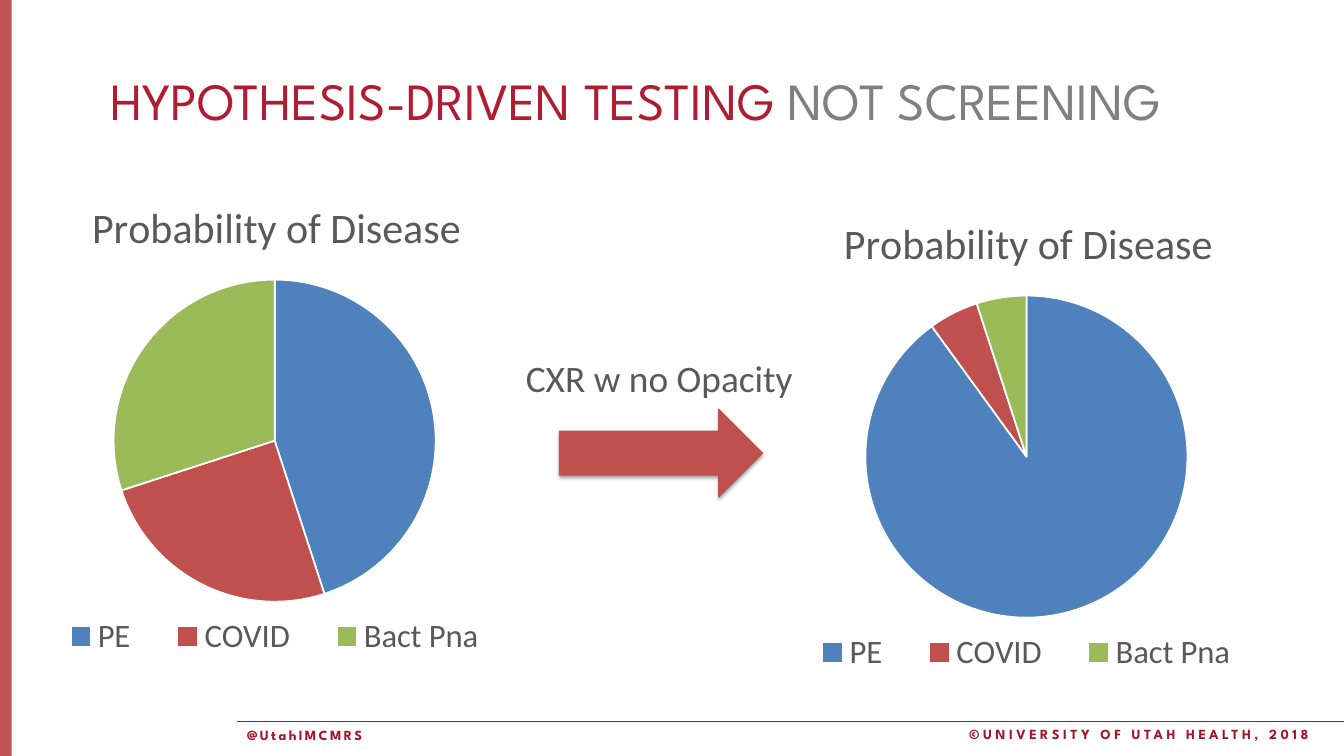
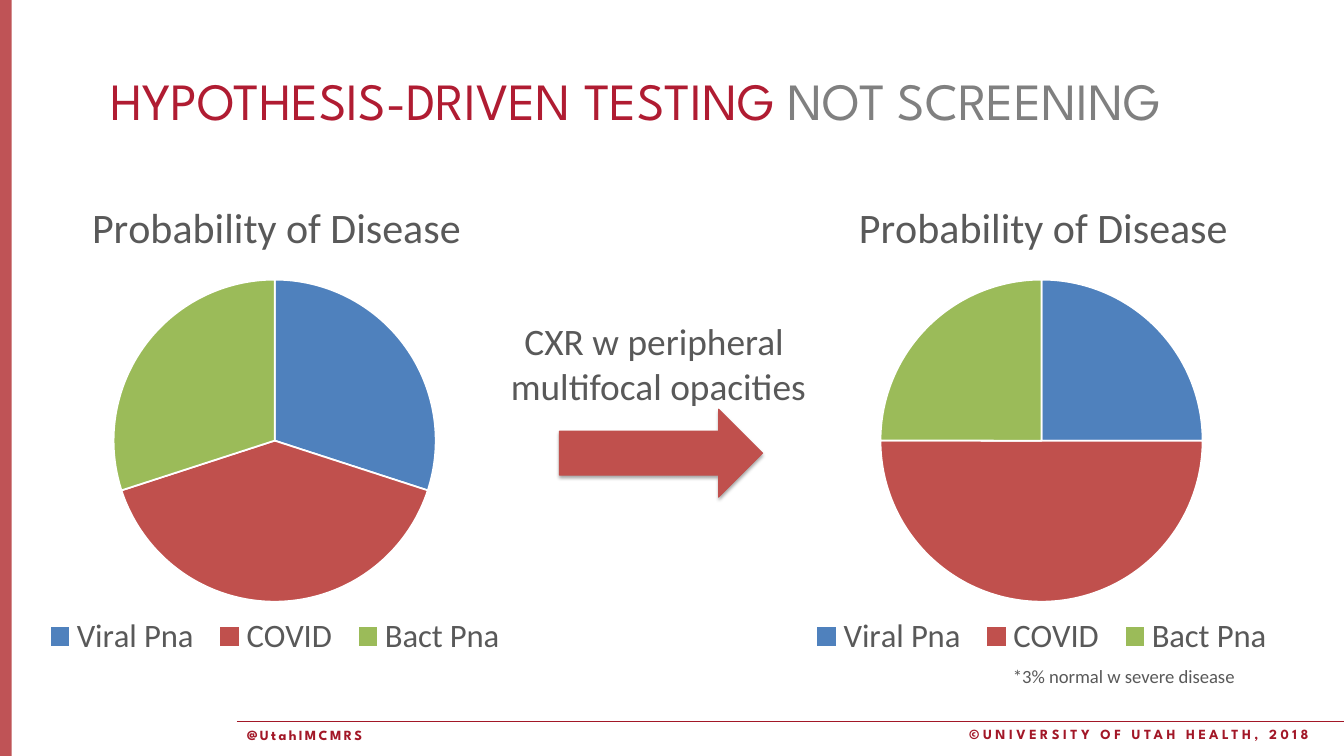
"""Build two slides on how a chest film shifts the probability of disease."""
from dataclasses import dataclass
from typing import Optional

import lxml.etree
import pptx
import pptx.chart.data
import pptx.dml.color
import pptx.enum.chart
import pptx.enum.shapes
import pptx.enum.text
import pptx.oxml
import pptx.oxml.ns
import pptx.util

RGBColor = pptx.dml.color.RGBColor
Pt = pptx.util.Pt
qn = pptx.oxml.ns.qn

BAND_RED = RGBColor(0xAF, 0x28, 0x2C)
FOOTER_RED = RGBColor(0xA2, 0x17, 0x27)
TITLE_RED = RGBColor(0xB0, 0x1C, 0x32)
TITLE_GREY = RGBColor(0x80, 0x80, 0x80)
TEXT_GREY = RGBColor(0x59, 0x59, 0x59)
WHITE = RGBColor(0xFF, 0xFF, 0xFF)
BLUE = RGBColor(0x4F, 0x81, 0xBD)
RED = RGBColor(0xC0, 0x50, 0x4D)
GREEN = RGBColor(0x9B, 0xBB, 0x59)
SLICE_COLORS = (BLUE, RED, GREEN)

HEADING_FONT = "League Spartan"
BODY_FONT = "Calibri"

COLUMNS, ROWS = 16, 9
SLIDE_WIDTH = pptx.util.Inches(16)
SLIDE_HEIGHT = pptx.util.Inches(9)


def across(columns: float) -> int:
    """Return the length of a number of grid columns."""
    return round(SLIDE_WIDTH * columns / COLUMNS)


def down(rows: float) -> int:
    """Return the length of a number of grid rows."""
    return round(SLIDE_HEIGHT * rows / ROWS)


@dataclass(frozen=True)
class Area:
    """Place on the grid, in columns and rows."""

    column: float
    row: float
    columns: float
    rows: float

    def box(self) -> tuple[int, int, int, int]:
        """Return left, top, width and height."""
        return across(self.column), down(self.row), across(self.columns), down(self.rows)


@dataclass(frozen=True)
class TextStyle:
    """Look of a run of text."""

    size: float
    font: str
    color: RGBColor
    bold: bool = False
    spacing: int = 0


@dataclass(frozen=True)
class Pie:
    """Probability of each disease at one moment."""

    column: float
    row: float
    shares: tuple[int, ...]


@dataclass(frozen=True)
class Label:
    """Free text on the grid."""

    area: Area
    lines: tuple[str, ...]
    style: TextStyle
    centred: bool = False


@dataclass(frozen=True)
class Case:
    """One slide: probabilities before and after a finding."""

    diseases: tuple[str, ...]
    before: Pie
    after: Pie
    finding: Label
    footnote: Optional[Label] = None


TITLE_STYLE = TextStyle(44.8, HEADING_FONT, TITLE_RED)
CONTRAST_STYLE = TextStyle(44.8, HEADING_FONT, TITLE_GREY)
COPYRIGHT_STYLE = TextStyle(12, HEADING_FONT, FOOTER_RED, True, 300)
HANDLE_STYLE = TextStyle(12, HEADING_FONT, FOOTER_RED, True, 200)
FINDING_STYLE = TextStyle(32, BODY_FONT, TEXT_GREY)
FOOTNOTE_STYLE = TextStyle(16, BODY_FONT, TEXT_GREY)
PIE_TITLE_STYLE = TextStyle(36, BODY_FONT, TEXT_GREY)
LEGEND_STYLE = TextStyle(28, BODY_FONT, TEXT_GREY)

BAND = Area(0, 0, 0.14, 9)
TITLE = Area(1.21, 0.76, 13.99, 0.72)
HANDLE = Area(2.84, 8.6, 1.7, 0.33)
COPYRIGHT = Label(Area(11.44, 8.59, 4.56, 0.3),
                  ("©UNIVERSITY OF UTAH HEALTH, 2018",), COPYRIGHT_STYLE)
ARROW = Area(6.66, 4.87, 2.42, 1.05)
RULE_COLUMN, RULE_ROW = 2.82, 8.59
PIE_COLUMNS, PIE_ROWS = 5.96, 5.9

CASES = (
    Case(
        ("PE", "COVID", "Bact Pna"),
        Pie(0.29, 2.09, (45, 25, 30)),
        Pie(9.24, 2.28, (90, 5, 5)),
        Label(Area(6.14, 4.18, 3.42, 0.64), ("CXR w no Opacity",), FINDING_STYLE, True),
    ),
    Case(
        ("Viral Pna", "COVID", "Bact Pna"),
        Pie(0.29, 2.09, (30, 40, 30)),
        Pie(9.42, 2.09, (25, 50, 25)),
        Label(Area(5.96, 3.74, 3.76, 1.18),
              ("CXR w peripheral ", "multifocal opacities"), FINDING_STYLE, True),
        Label(Area(11.96, 7.87, 2.88, 0.37),
              ("*3% normal w severe disease",), FOOTNOTE_STYLE),
    ),
)


def style_font(font, style: TextStyle) -> None:
    """Apply a text style to a font."""
    font.size = Pt(style.size)
    font.name = style.font
    font.bold = style.bold
    font.color.rgb = style.color


def add_run(paragraph, words: str, style: TextStyle) -> None:
    """Add one styled run to a paragraph."""
    run = paragraph.add_run()
    run.text = words
    style_font(run.font, style)
    if style.spacing:
        run.font._element.set("spc", str(style.spacing))


def add_label(slide, label: Label, wrap: bool = False) -> None:
    """Add a text box with one paragraph a line."""
    frame = slide.shapes.add_textbox(*label.area.box()).text_frame
    frame.word_wrap = wrap
    frame.auto_size = pptx.enum.text.MSO_AUTO_SIZE.SHAPE_TO_FIT_TEXT
    for index, line in enumerate(label.lines):
        paragraph = frame.add_paragraph() if index else frame.paragraphs[0]
        if label.centred:
            paragraph.alignment = pptx.enum.text.PP_ALIGN.CENTER
        add_run(paragraph, line, label.style)


def place_text(placeholder, area: Area):
    """Move a placeholder and return its first paragraph, left aligned."""
    placeholder.left, placeholder.top, placeholder.width, placeholder.height = area.box()
    frame = placeholder.text_frame
    frame.word_wrap = True
    frame.auto_size = pptx.enum.text.MSO_AUTO_SIZE.NONE
    frame.vertical_anchor = pptx.enum.text.MSO_ANCHOR.TOP
    paragraph = frame.paragraphs[0]
    paragraph.alignment = pptx.enum.text.PP_ALIGN.LEFT
    paragraph.space_before = Pt(0)
    return paragraph


def add_frame(slide) -> None:
    """Add the title, side band and footer that all slides share."""
    heading = place_text(slide.shapes.title, TITLE)
    add_run(heading, "HYPOTHESIS-DRIVEN TESTING ", TITLE_STYLE)
    add_run(heading, "NOT SCREENING", CONTRAST_STYLE)

    handle = place_text(slide.placeholders[1], HANDLE)
    properties = handle._p.get_or_add_pPr()
    properties.set("marL", "0")
    properties.set("indent", "0")
    lxml.etree.SubElement(properties, qn("a:buNone"))
    add_run(handle, "@UtahIMCMRS", HANDLE_STYLE)

    band = slide.shapes.add_shape(pptx.enum.shapes.MSO_SHAPE.RECTANGLE, *BAND.box())
    band.shadow.inherit = False
    band.fill.solid()
    band.fill.fore_color.rgb = BAND_RED
    band.line.fill.background()
    tint = band.fill._xPr.find(qn("a:solidFill"))[0]
    lxml.etree.SubElement(tint, qn("a:alpha"), val="80000")

    rule = slide.shapes.add_connector(
        pptx.enum.shapes.MSO_CONNECTOR.STRAIGHT,
        across(RULE_COLUMN), down(RULE_ROW), SLIDE_WIDTH, down(RULE_ROW))
    rule.line.color.rgb = FOOTER_RED
    rule.line.width = Pt(1)
    lxml.etree.SubElement(rule._element.spPr, qn("a:effectLst"))
    add_label(slide, COPYRIGHT, True)


def set_layout(part, position: int, inner: bool, **shares: float) -> None:
    """Fix a chart part at shares of the chart's size."""
    for old in part.findall(qn("c:layout")):
        part.remove(old)
    layout = pptx.oxml.parse_xml(f"<c:layout {pptx.oxml.ns.nsdecls('c')}/>")
    manual = lxml.etree.SubElement(layout, qn("c:manualLayout"))
    if inner:
        lxml.etree.SubElement(manual, qn("c:layoutTarget"), val="inner")
    for mode in ("xMode", "yMode"):
        lxml.etree.SubElement(manual, qn(f"c:{mode}"), val="edge")
    for side, share in shares.items():
        lxml.etree.SubElement(manual, qn(f"c:{side}"), val=str(share))
    part.insert(position, layout)


def add_pie(slide, diseases: tuple[str, ...], pie: Pie) -> None:
    """Add a pie chart with its title and legend."""
    data = pptx.chart.data.CategoryChartData()
    data.categories = diseases
    data.add_series("Series 1", pie.shares)
    area = Area(pie.column, pie.row, PIE_COLUMNS, PIE_ROWS)
    chart = slide.shapes.add_chart(
        pptx.enum.chart.XL_CHART_TYPE.PIE, *area.box(), data).chart
    chart.font.name = BODY_FONT
    chart.font.size = Pt(10)

    chart.has_title = True
    add_run(chart.chart_title.text_frame.paragraphs[0],
            "Probability of Disease", PIE_TITLE_STYLE)
    chart.chart_title.include_in_layout = False
    chart.has_legend = True
    chart.legend.position = pptx.enum.chart.XL_LEGEND_POSITION.BOTTOM
    chart.legend.include_in_layout = False
    style_font(chart.legend.font, LEGEND_STYLE)

    chart.plots[0].vary_by_categories = True
    for index, color in enumerate(SLICE_COLORS):
        wedge = chart.plots[0].series[0].points[index].format
        wedge.fill.solid()
        wedge.fill.fore_color.rgb = color
        wedge.line.color.rgb = WHITE
        wedge.line.width = Pt(1.5)

    parts = chart.element.find(qn("c:chart"))
    set_layout(parts.find(qn("c:title")), 1, False, x=0.12, y=0.03)
    set_layout(parts.find(qn("c:plotArea")), 0, True, x=0.17, y=0.21, w=0.66, h=0.65)
    set_layout(parts.find(qn("c:legend")), 1, False, x=0.02, y=0.88, w=0.96, h=0.1)


def add_arrow(slide) -> None:
    """Add the arrow from the first pie to the second."""
    arrow = slide.shapes.add_shape(pptx.enum.shapes.MSO_SHAPE.RIGHT_ARROW, *ARROW.box())
    arrow.fill.solid()
    arrow.fill.fore_color.rgb = RED
    arrow.line.color.rgb = RED
    arrow.line.width = Pt(0.75)
    arrow.shadow.inherit = False
    effects = arrow._element.spPr.find(qn("a:effectLst"))
    shadow = lxml.etree.SubElement(
        effects, qn("a:outerShdw"), blurRad=str(Pt(3.1)), dist=str(Pt(1.8)),
        dir="5400000", rotWithShape="0")
    shade = lxml.etree.SubElement(shadow, qn("a:srgbClr"), val="000000")
    lxml.etree.SubElement(shade, qn("a:alpha"), val="35000")


def main() -> None:
    """Build and save the presentation."""
    deck = pptx.Presentation()
    deck.slide_width, deck.slide_height = SLIDE_WIDTH, SLIDE_HEIGHT
    for case in CASES:
        slide = deck.slides.add_slide(deck.slide_layouts[1])
        add_frame(slide)
        for pie in (case.before, case.after):
            add_pie(slide, case.diseases, pie)
        add_arrow(slide)
        add_label(slide, case.finding)
        if case.footnote:
            add_label(slide, case.footnote)
    deck.save("out.pptx")


if __name__ == "__main__":
    main()
